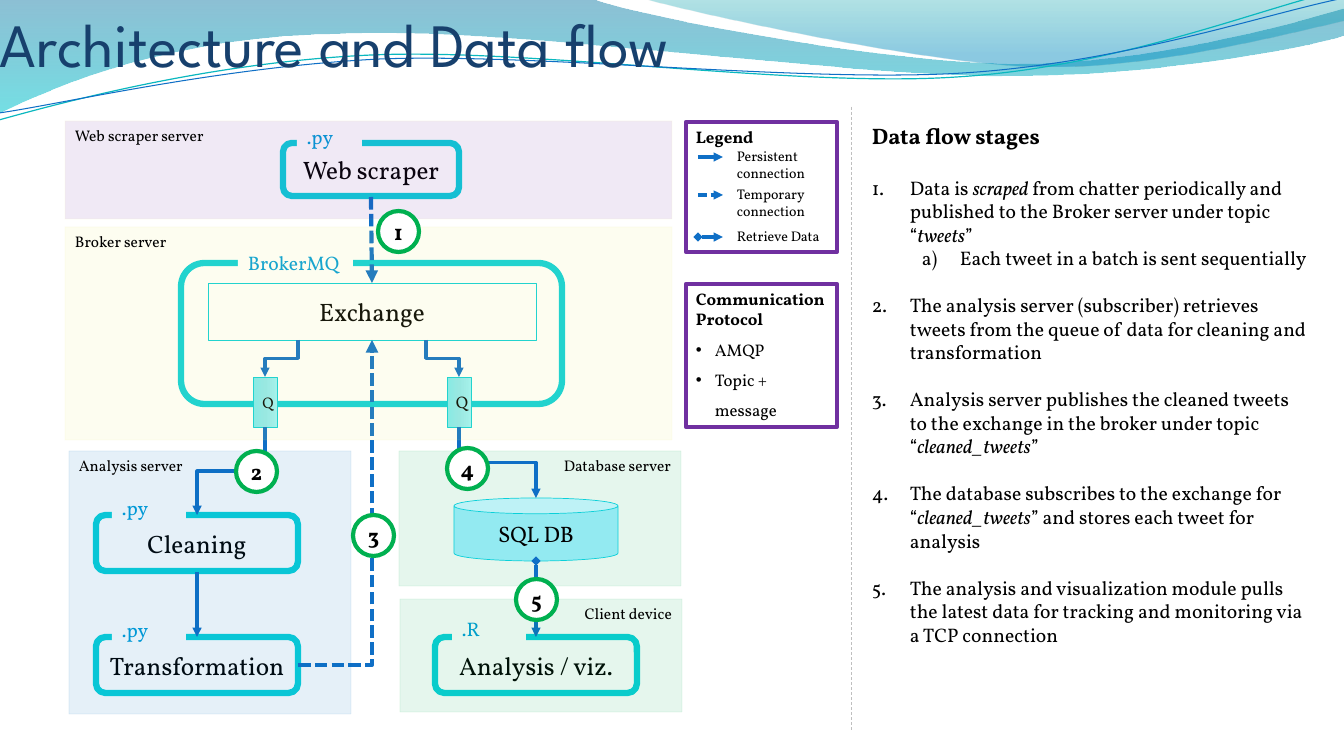
from dataclasses import dataclass
from lxml.etree import SubElement
from pptx import Presentation
from pptx.dml.color import RGBColor
from pptx.enum.dml import MSO_LINE
from pptx.enum.shapes import MSO_CONNECTOR, MSO_SHAPE
from pptx.enum.text import MSO_ANCHOR, PP_ALIGN
from pptx.oxml import parse_xml
from pptx.oxml.ns import nsdecls, qn
from pptx.util import Emu, Pt

SCALE = 914400 / 100.8  # EMU in one pixel


@dataclass(frozen=True)
class Theme:
    head: str = "League Spartan"
    body: str = "Vollkorn"
    navy: str = "17406D"
    blue: str = "0F6FC6"
    sky: str = "009DD9"
    teal: str = "0BD0D9"
    can: str = "93EAF1"
    green: str = "00B050"
    purple: str = "7030A0"
    yellow: str = "F0F373"
    azure: str = "0070C0"
    grey: str = "BFBFBF"
    black: str = "000000"
    white: str = "FFFFFF"
    title: int = 44
    box: int = 18
    heading: int = 16
    text: int = 14
    panel: int = 12
    zone: int = 11
    small: int = 10


T = Theme()
LEFT, MID, RIGHT = PP_ALIGN.LEFT, PP_ALIGN.CENTER, PP_ALIGN.RIGHT


def px(n):
    return Emu(round(n * SCALE))


def rgb(c):
    return RGBColor.from_string(c)


def inside(box, x, y, w, h):
    return box[0] + x, box[1] + y, w, h


def font(r, size, color=T.black, bold=False, name=T.body, italic=False):
    r.font.size, r.font.bold, r.font.italic, r.font.name = Pt(size), bold, italic, name
    r.font.color.rgb = rgb(color)


def write(sp, text, size, align=LEFT, anchor=MSO_ANCHOR.TOP, inset=None, **style):
    tf = sp.text_frame
    tf.word_wrap, tf.vertical_anchor = True, anchor
    if inset is not None:
        tf.margin_left = tf.margin_right = tf.margin_top = tf.margin_bottom = px(inset)
    tf.text = text
    for p in tf.paragraphs:
        p.alignment = align
        for r in p.runs:
            font(r, size, **style)
    return tf


def paint(sp, fill=None, line=None, width=0.5):
    sp.shadow.inherit = False
    if fill:
        sp.fill.solid()
        sp.fill.fore_color.rgb = rgb(fill)
    else:
        sp.fill.background()
    if line:
        sp.line.color.rgb, sp.line.width = rgb(line), Pt(width)
    else:
        sp.line.fill.background()


def shape(s, kind, box, fill=None, line=None, width=0.5):
    sp = s.shapes.add_shape(kind, *map(px, box))
    paint(sp, fill, line, width)
    return sp


def label(s, box, text, size, **style):
    return write(s.shapes.add_textbox(*map(px, box)), text, size, **style)


def gradient(sp, angle, *stops):
    gs = "".join(f'<a:gs pos="{pos * 1000}"><a:srgbClr val="{c}"><a:alpha val="{a * 1000}"/>'
                 f'</a:srgbClr></a:gs>' for pos, c, a in stops)
    spPr = sp._element.spPr
    spPr.replace(spPr.find(qn("a:noFill")), parse_xml(
        f'<a:gradFill {nsdecls("a")} rotWithShape="1"><a:gsLst>{gs}</a:gsLst>'
        f'<a:lin ang="{angle * 60000}" scaled="0"/></a:gradFill>'))


def arrow(s, a, b, bend="", width=2.25, color=T.blue, dash=None, head=None, tail="triangle"):
    """Straight, 'corner' (across then up) or 'step' (down, across, down)."""
    rot = 0
    if bend == "step":
        (x1, y1), (x2, y2) = a, b
        cx, cy, dx, dy = (x1 + x2) / 2, (y1 + y2) / 2, x2 - x1, y2 - y1
        q = -1 if dx > 0 else 1
        a, b = (cx - q * dy / 2, cy + q * dx / 2), (cx + q * dy / 2, cy - q * dx / 2)
        rot = 90 if q == 1 else 270
    kind = MSO_CONNECTOR.ELBOW if bend else MSO_CONNECTOR.STRAIGHT
    c = s.shapes.add_connector(kind, *map(px, (*a, *b)))
    c.line.color.rgb, c.line.width = rgb(color), Pt(width)
    if dash:
        c.line.dash_style = dash
    spPr = c._element.spPr
    if rot:
        spPr.find(qn("a:xfrm")).set("rot", str(rot * 60000))
    if bend == "corner":
        spPr.find(qn("a:prstGeom")).set("prst", "bentConnector2")
    for tag, end in (("a:headEnd", head), ("a:tailEnd", tail)):
        if end:
            SubElement(spPr.find(qn("a:ln")), qn(tag), type=end)
    SubElement(spPr, qn("a:effectLst"))


def curve(s, start, parts, closed=False):
    """Outline through points (2 numbers) and Bezier curves (6 numbers)."""
    fb = s.shapes.build_freeform(px(start[0]), px(start[1]), scale=1.0)
    fb.add_line_segments([(px(x), px(y)) for *_, x, y in parts], close=closed)
    sp = fb.convert_to_shape()
    segments = list(sp._element.spPr.iter(qn("a:lnTo")))
    for seg, part in zip(segments, parts):
        if len(part) == 6:
            pts = "".join(f'<a:pt x="{px(x) - sp.left}" y="{px(y) - sp.top}"/>'
                          for x, y in zip(part[::2], part[1::2]))
            seg.getparent().replace(seg, parse_xml(
                f'<a:cubicBezTo {nsdecls("a")}>{pts}</a:cubicBezTo>'))
    return sp


def header(s, box):
    # Waves
    big = curve(s, (0, 0), [(592, -1), (639, 17, 891, 64, 1019, 64), (1146, 64, 1287, 26, 1344, 9),
                            (1345, 36), (1322, 44, 1168, 77, 1002, 76), (836, 76, 513, 28, 346, 34),
                            (173, 36, 61, 84, -2, 114)], True)
    small = curve(s, (643, -1), [(684, 11, 916, 62, 1033, 66), (1149, 70, 1292, 32, 1344, 21),
                                 (1344, 0)], True)
    for sp, stops in ((big, ((0, "0074A1", 45), (100, "00C6CF", 55))),
                      (small, ((0, "00A1A9", 30), (80, "008BBF", 45)))):
        paint(sp)
        gradient(sp, 90, *stops)
    paint(curve(s, (-1, 120), [(64, 102, 212, 62, 372, 55), (531, 48, 795, 88, 957, 77),
                               (1119, 67, 1261, 8, 1341, -10)]), line="0AB8BF", width=0.85)
    paint(curve(s, (-1, 113), [(62, 104, 220, 67, 380, 59), (541, 53, 802, 83, 963, 73),
                               (1123, 63, 1265, 14, 1344, -2)]), line=T.blue, width=0.75)
    # Title
    label(s, box, "Architecture and Data flow", T.title, anchor=MSO_ANCHOR.MIDDLE, inset=0,
          color=T.navy, name=T.head)


def zone(s, box, text, fill, line=None, align=LEFT):
    sp = shape(s, MSO_SHAPE.RECTANGLE, box, fill, line or fill)
    for clr in sp._element.spPr.iter(qn("a:srgbClr")):
        SubElement(clr, qn("a:alpha"), val="10000")
    write(sp, text, T.zone, align)


def module(s, box, text, tag, gap):
    """Rounded box whose top edge is broken by a tag."""
    sp = shape(s, MSO_SHAPE.ROUNDED_RECTANGLE, box, line=T.teal, width=4.5)
    if text:
        write(sp, text, T.box, MID, MSO_ANCHOR.MIDDLE)
    write(shape(s, MSO_SHAPE.RECTANGLE, inside(box, *gap), T.white), tag, T.text, color=T.sky)


def broker(s, box):
    module(s, inside(box, 116, 36, 381, 141), "", "BrokerMQ", (57, -17, 115, 29))
    sp = shape(s, MSO_SHAPE.RECTANGLE, inside(box, 143, 56, 328, 57), T.white, T.teal)
    write(sp, "Exchange", T.box, MID, MSO_ANCHOR.MIDDLE)
    for x, size in ((188, T.zone), (382, T.panel)):  # queues
        sp = shape(s, MSO_SHAPE.RECTANGLE, inside(box, x, 150, 24, 50), line=T.teal)
        gradient(sp, 180, (0, "9DF1F8", 100), (50, "90E7EE", 100), (100, "7CE9F1", 100))
        write(sp, "Q", size, MID, MSO_ANCHOR.MIDDLE, 0).margin_left = px(6)


def analysis(s, box):
    for text, y in (("Cleaning", 64), ("Transformation", 186)):
        module(s, inside(box, 27, y, 202, 56), text, ".py", (16, -24, 74, 36))


def database(s, box):
    sp = shape(s, MSO_SHAPE.CAN, inside(box, 55, 47, 164, 63), T.can, T.teal)
    write(sp, "SQL DB", T.heading, MID, MSO_ANCHOR.MIDDLE)


def flows(s):
    dash = MSO_LINE.SQUARE_DOT
    arrow(s, (426, 340), (459, 377), "step")
    arrow(s, (298, 340), (265, 377), "step")
    arrow(s, (265, 427), (197, 515), "step")
    arrow(s, (459, 427), (536, 498), "step")
    arrow(s, (197, 572), (197, 637))
    arrow(s, (298, 665), (372, 340), "corner", 3, dash=dash)
    arrow(s, (536, 561), (536, 637), head="diamond")
    arrow(s, (371, 197), (372, 283), width=3, dash=dash)


def badges(s, *spots):
    for i, spot in enumerate(spots, 1):
        sp = shape(s, MSO_SHAPE.OVAL, (*spot, 41, 41), T.white, T.green, 3)
        write(sp, str(i), T.heading, MID, MSO_ANCHOR.MIDDLE, 0, bold=True)


def bullet(p, tag, left, hang, **attrs):
    pPr = p._p.get_or_add_pPr()
    pPr.set("marL", str(px(left)))
    pPr.set("indent", str(-px(hang)))
    if tag == "a:buChar":
        SubElement(pPr, qn("a:buFont"), typeface="Arial")
    SubElement(pPr, qn(tag), **attrs)


def panel(s, box, text):
    sp = shape(s, MSO_SHAPE.RECTANGLE, box, line=T.purple, width=3)
    return write(sp, text, T.panel, bold=True)


def legend(s, box):
    panel(s, box, "Legend")
    for text, y, h, style in (("Persistent connection", 21, 37, {}),
                              ("Temporary connection", 59, 37, {"dash": MSO_LINE.SQUARE_DOT}),
                              ("Retrieve Data", 101, 23, {"head": "diamond"})):
        x0, y0 = box[0] + 12, box[1] + y + 14
        arrow(s, (x0, y0), (x0 + 25, y0), **style)
        label(s, inside(box, 41, y, 109, h), text, T.small)


def protocol(s, box):
    tf = panel(s, box, "Communication Protocol")
    for text in ("AMQP", "Topic + message"):
        p = tf.add_paragraph()
        p.text, p.alignment, p.line_spacing = text, LEFT, 1.5
        bullet(p, "a:buChar", 19, 19, char="•")
        font(p.runs[0], T.panel)


def stages(s, box):
    x = box[0] - 11
    arrow(s, (x, 107), (x, 731), width=0.5, color=T.grey, dash=MSO_LINE.DASH, tail=None)
    tf = label(s, box, "Data flow stages", T.heading, bold=True)
    tf.paragraphs[0].space_after = Pt(19)
    # Asterisks enclose italic words
    for level, text, after in (
            (0, "Data is *scraped *from chatter periodically and published to the Broker server "
                "under topic “*tweets*”", 0),
            (1, "Each tweet in a batch is sent sequentially", 16.8),
            (0, "The analysis server (subscriber) retrieves tweets from the queue of data for "
                "cleaning and transformation", 16.8),
            (0, "Analysis server publishes the cleaned tweets to the exchange in the broker under "
                "topic “*cleaned_tweets*”", 16.8),
            (0, "The database subscribes to the exchange for “*cleaned_tweets*” and stores each "
                "tweet for analysis", 16.8),
            (0, "The analysis and visualization module pulls the latest data for tracking and "
                "monitoring via a TCP connection", 0)):
        p = tf.add_paragraph()
        p.level, p.space_after = level, Pt(after)
        bullet(p, "a:buAutoNum", 38 + 50 * level, 38,
               type="alphaLcParenR" if level else "arabicPeriod")
        for i, part in enumerate(text.split("*")):
            r = p.add_run()
            r.text = part
            font(r, T.text, italic=i % 2 == 1)


prs = Presentation()
prs.slide_width, prs.slide_height = px(1344), px(756)
s = prs.slides.add_slide(prs.slide_layouts[6])

SCRAPER, BROKER = (65, 121, 607, 98), (65, 227, 607, 213)
ANALYSIS, DATABASE, CLIENT = (69, 451, 282, 263), (399, 451, 282, 135), (400, 599, 282, 113)

header(s, (0, 0, 1210, 86))
# Servers and their modules
zone(s, DATABASE, "Database server", T.green, align=RIGHT)
database(s, DATABASE)
module(s, inside(SCRAPER, 218, 22, 176, 53), "Web scraper", ".py", (14, -23, 65, 34))
broker(s, BROKER)
analysis(s, ANALYSIS)
module(s, inside(CLIENT, 35, 38, 202, 56), "Analysis / viz.", ".R", (17, -25, 74, 31))
flows(s)
# Tints lie over the modules
zone(s, SCRAPER, "Web scraper server", T.purple, T.yellow)
zone(s, BROKER, "Broker server", T.yellow)
zone(s, ANALYSIS, "Analysis server", T.azure)
zone(s, CLIENT, "Client device", T.green, align=RIGHT)
badges(s, (378, 211), (236, 451), (353, 515), (447, 448), (516, 579))
# Side panels
legend(s, (686, 122, 151, 130))
protocol(s, (686, 284, 151, 143))
stages(s, (862, 117, 456, 587))
prs.save("out.pptx")
